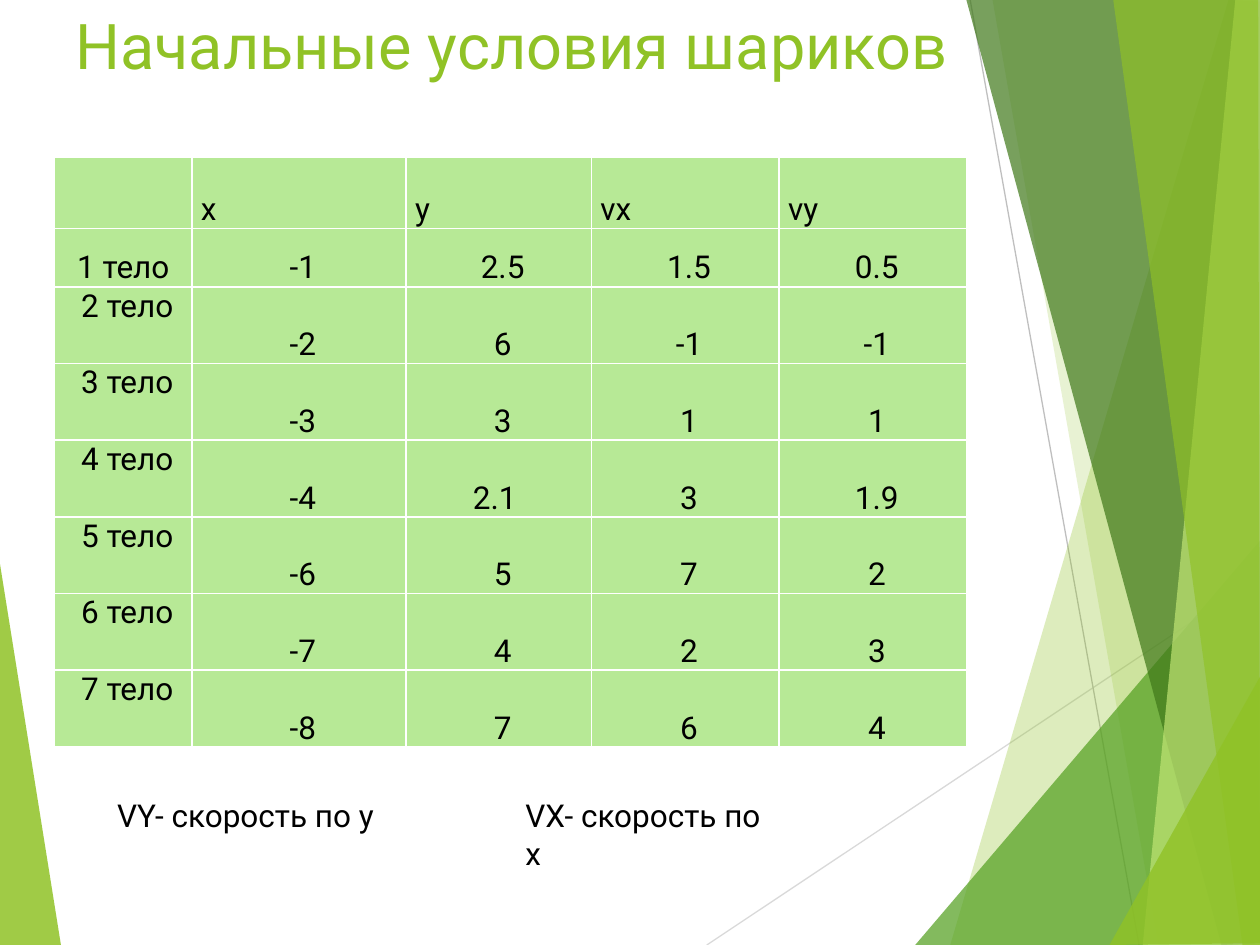
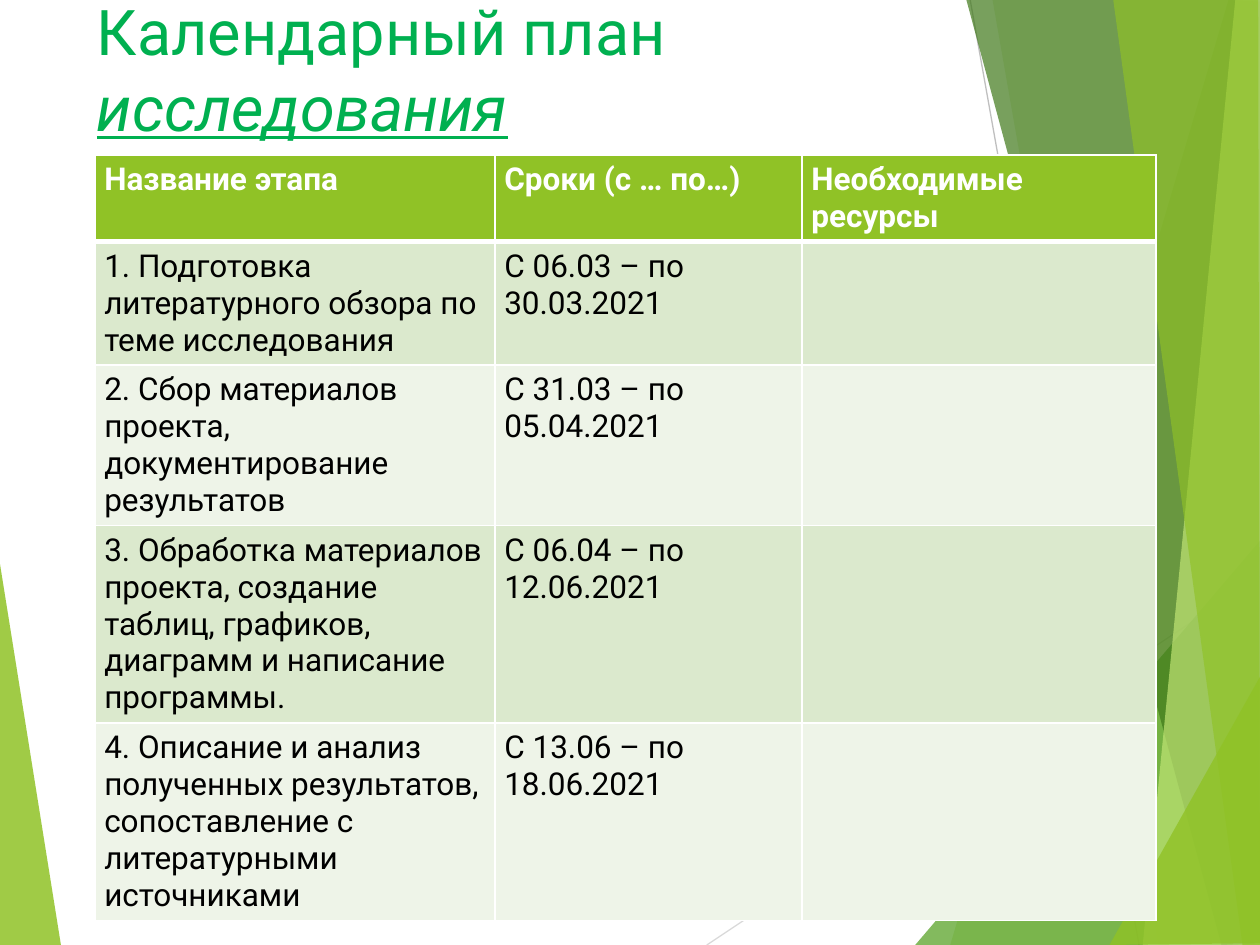
from lxml import etree
from pptx import Presentation
from pptx.dml.color import RGBColor
from pptx.enum.shapes import MSO_CONNECTOR
from pptx.enum.text import MSO_ANCHOR, MSO_AUTO_SIZE, PP_ALIGN
from pptx.oxml.ns import qn
from pptx.util import Pt

LIME = RGBColor(0x90, 0xC2, 0x26)
GRASS = RGBColor(0x54, 0xA0, 0x21)
MOSS = RGBColor(0x3F, 0x78, 0x19)
PALE = RGBColor(0xC0, 0xE4, 0x74)
MINT = RGBColor(0xB7, 0xE9, 0x96)
EMERALD = RGBColor(0x00, 0xB0, 0x50)
BAND = (RGBColor(0xDB, 0xE9, 0xCD), RGBColor(0xEE, 0xF4, 0xE8))
WHITE = RGBColor(0xFF, 0xFF, 0xFF)
BLACK = RGBColor(0, 0, 0)
SILVER = RGBColor(0xD9, 0xD9, 0xD9)
GRAY = RGBColor(0xBF, 0xBF, 0xBF)

TOP, BOTTOM = MSO_ANCHOR.TOP, MSO_ANCHOR.BOTTOM
LEFT, CENTER = PP_ALIGN.LEFT, PP_ALIGN.CENTER
STRAIGHT = MSO_CONNECTOR.STRAIGHT
FIXED = MSO_AUTO_SIZE.NONE
FONT = "Roboto"
WIDTH, HEIGHT = 720, 540
NBSP = chr(160)

LINES = [
    (403.9, 540, 720.7, 329, SILVER),
    (554.4, 0, 650.9, 540, GRAY),
]
WEDGE = (LIME, 85, [(-0.7, 316), (35.3, 540.7), (-0.7, 540)])
SHARDS = [
    (LIME, 30, [(702, 0), (542.9, 540), (721.4, 540.7), (720.7, 0.7)]),
    (LIME, 20, [(567.4, -0.7), (661.7, 540), (720.7, 540), (720.7, -0.7)]),
    (GRASS, 72, [(522.7, 540), (720, 308.9), (720.7, 540)]),
    (MOSS, 70, [(552.2, -0.7), (698.4, 540), (720.7, 539.3), (720.7, -0.7)]),
    (PALE, 70, [(706.3, -0.7), (653, 540), (720.7, 540), (720, -0.7)]),
    (LIME, 65, [(635.8, -0.7), (709.9, 540), (720, 540), (718.6, -0.7)]),
    (LIME, 80, [(634.3, 540), (720.7, 385.2), (720.7, 539.3)]),
]

BODIES = [
    "|_x|_y|_vx|_vy",
    "1 тело|_-1|_2.5|_1.5|_0.5",
    "_2 тело|_-2|_6|_-1|_-1",
    "_3 тело|_-3|_3|_1|_1",
    "_4 тело|_-4|2.1_|_3|_1.9",
    "_5 тело|_-6|_5|_7|_2",
    "_6 тело|_-7|_4|_2|_3",
    "_7 тело|_-8|_7|_6|_4",
]
STAGES = [
    ("Название этапа", "Сроки (с … по…)", "Необходимые ресурсы"),
    ("1. Подготовка литературного обзора по теме исследования",
     "С 06.03 – по 30.03.2021", ""),
    ("2. Сбор материалов проекта, документирование результатов",
     "С 31.03 – по 05.04.2021", ""),
    ("3. Обработка материалов проекта, создание таблиц, графиков, "
     "диаграмм и написание программы.", "С 06.04 – по 12.06.2021", ""),
    ("4. Описание и анализ полученных результатов, сопоставление с "
     "литературными источниками", "С 13.06 – по 18.06.2021", ""),
]


def add_run(para, text, size, color, bold=False, slant=False):
    run = para.add_run()
    run.text = text
    font = run.font
    font.name, font.size, font.bold = FONT, Pt(size), bold
    font.color.rgb = color
    if slant:
        font.italic = font.underline = True


def add_shard(shapes, x, y, color, alpha, points):
    pen = shapes.build_freeform(*points[0], scale=Pt(1))
    pen.add_line_segments(points[1:], close=True)
    shard = pen.convert_to_shape(Pt(x), Pt(y))
    shard.shadow.inherit = False
    shard.fill.solid()
    shard.fill.fore_color.rgb = color
    shard.line.fill.background()
    tint = shard.element.spPr.find(".//" + qn("a:srgbClr"))
    etree.SubElement(tint, qn("a:alpha")).set("val", str(alpha * 1000))


def add_line(shapes, x, y, x1, y1, x2, y2, color):
    line = shapes.add_connector(STRAIGHT, Pt(x + x1), Pt(y + y1),
                                Pt(x + x2), Pt(y + y2))
    line.line.color.rgb = color
    line.line.width = Pt(0.75)
    etree.SubElement(line.element.spPr, qn("a:effectLst"))


def add_decor(slide, layout, x, y):
    shapes = slide.shapes
    start = len(shapes)
    add_shard(shapes, x, y, *WEDGE)
    for line in LINES:
        add_line(shapes, x, y, *line)
    for shard in SHARDS:
        add_shard(shapes, x, y, *shard)
    for spot, shape in enumerate(list(shapes)[start:], 2):
        layout.shapes.element.insert(spot, shape.element)


def set_title(slide, x, y, w, h, color, parts):
    title = slide.shapes.title
    title.left, title.top, title.width, title.height = map(Pt, (x, y, w, h))
    frame = title.text_frame
    frame.word_wrap, frame.auto_size = True, FIXED
    frame.vertical_anchor = TOP
    para = frame.paragraphs[0]
    para.alignment = LEFT
    for text, slant in parts:
        add_run(para, text, 36, color, slant=slant)


def add_grid(slide, x, y, cols, rows):
    table = slide.shapes.add_table(len(rows), len(cols), Pt(x), Pt(y),
                                   Pt(sum(cols)), Pt(sum(rows))).table
    table.first_row = table.horz_banding = False
    for col, width in zip(table.columns, cols):
        col.width = Pt(width)
    for row, height in zip(table.rows, rows):
        row.height = Pt(height)
    return table


def set_cell(cell, text, fill, color, pads, anchor, align, bold=False,
             over=1, under=1):
    cell.margin_left, cell.margin_top, cell.margin_right, cell.margin_bottom = (
        map(Pt, pads))
    cell.vertical_anchor = anchor
    cell.fill.solid()
    cell.fill.fore_color.rgb = fill
    props = cell._tc.get_or_add_tcPr()
    for spot, (side, width) in enumerate(zip("LRTB", (1, 1, over, under))):
        edge = etree.Element(qn("a:ln" + side), w=str(Pt(width)))
        paint = etree.SubElement(edge, qn("a:solidFill"))
        etree.SubElement(paint, qn("a:srgbClr"), val=str(WHITE))
        props.insert(spot, edge)
    para = cell.text_frame.paragraphs[0]
    para.alignment = align
    if text:
        add_run(para, text, 18, color, bold)


def add_bodies(slide, x, y):
    cols = (78.5, 122.4, 105.8, 107.3, 107.3)
    table = add_grid(slide, x, y, cols, [40.5, 33.4] + [43.85] * 6)
    for r, line in enumerate(BODIES):
        for c, text in enumerate(line.replace("_", NBSP).split("|")):
            set_cell(table.cell(r, c), text, MINT, BLACK, (0.7, 0.7, 0.7, 0),
                     TOP if r > 1 and c == 0 else BOTTOM,
                     CENTER if r else LEFT)


def add_stages(slide, x, y):
    rows = [7.2 + 21.1 * count for count in (2, 3, 4, 5, 5)]
    table = add_grid(slide, x, y, (228.6, 175.5, 202.3), rows)
    for r, line in enumerate(STAGES):
        head = r == 0
        for c, text in enumerate(line):
            set_cell(table.cell(r, c), text,
                     LIME if head else BAND[(r - 1) % 2],
                     WHITE if head else BLACK, (5.4, 3.6, 5.4, 3.6),
                     TOP, LEFT, head,
                     3 if r == 1 else 1, 3 if head else 1)


def add_note(slide, x, y, w, h, text):
    frame = slide.shapes.add_textbox(Pt(x), Pt(y), Pt(w), Pt(h)).text_frame
    frame.word_wrap = True
    add_run(frame.paragraphs[0], text, 18, BLACK)


def main():
    deck = Presentation()
    deck.slide_width, deck.slide_height = Pt(WIDTH), Pt(HEIGHT)
    layout = deck.slide_layouts[5]

    start = deck.slides.add_slide(layout)
    add_decor(start, layout, 0, 0)
    set_title(start, 36, 0, 648, 90, LIME,
              [("Начальные условия шариков", False)])
    add_bodies(start, 31.2, 90)
    add_note(start, 59.8, 451.5, 164, 29, "VY- скорость по y")
    add_note(start, 293.2, 451.5, 160, 29, "VX- скорость по х")

    plan = deck.slides.add_slide(layout)
    set_title(plan, 48.2, -7.9, 499.7, 103.7, EMERALD,
              [("Календарный план ", False), ("исследования", True)])
    add_stages(plan, 54.2, 88.6)

    deck.save("out.pptx")


if __name__ == "__main__":
    main()
